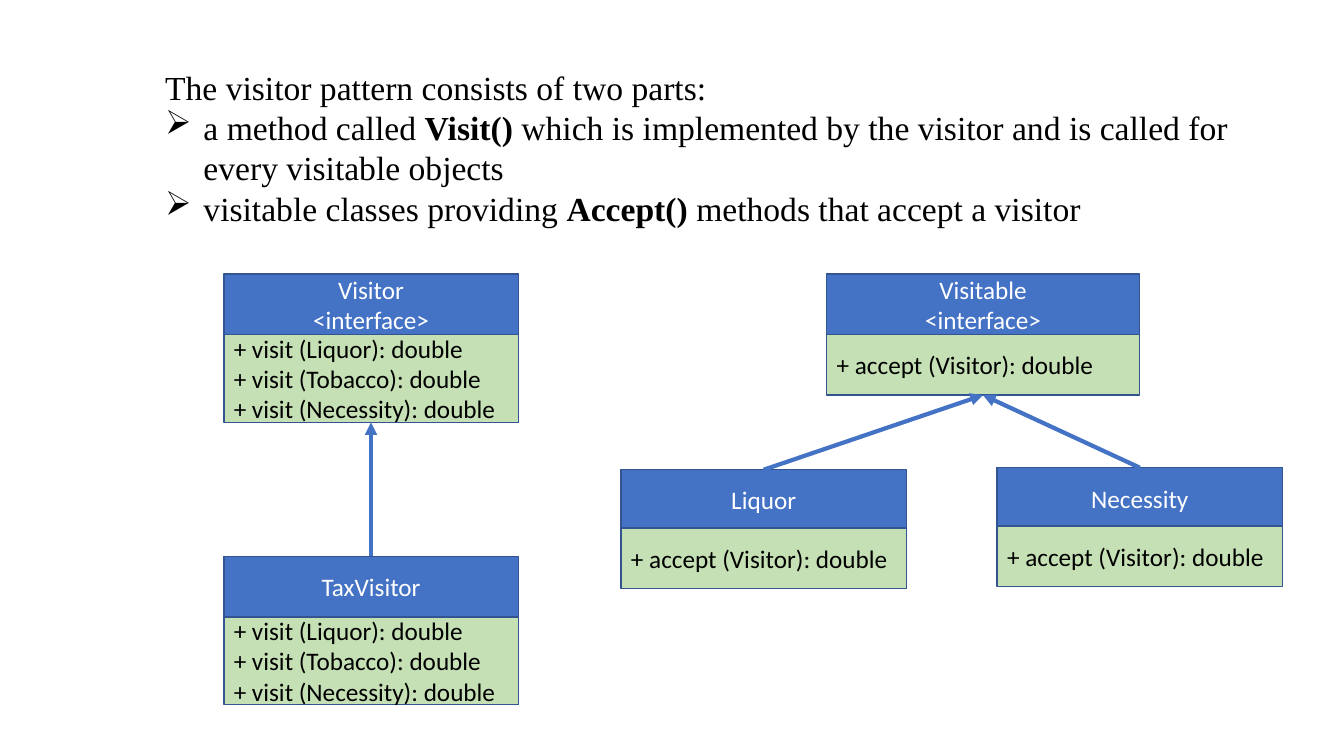
"""Build a slide that explains the visitor pattern with class diagrams."""
import lxml.etree
import pptx
import pptx.dml.color
import pptx.enum.shapes
import pptx.enum.text
import pptx.oxml.ns
import pptx.util

Inches = pptx.util.Inches
Pt = pptx.util.Pt
HEAD_HEIGHT = 0.6
VISIT_METHODS = [f"+ visit ({item}): double" for item in ("Liquor", "Tobacco", "Necessity")]
ACCEPT_METHODS = ["+ accept (Visitor): double"]
INTRODUCTION = [
    [("The visitor pattern consists of two parts:", False)],
    [
        ("a method called ", False),
        ("Visit()", True),
        (" which is implemented by the visitor and is called for every visitable objects", False),
    ],
    [
        ("visitable classes providing ", False),
        ("Accept()", True),
        (" methods that accept a visitor", False),
    ],
]


def color(value):
    """Return the colour for a hex string."""
    return pptx.dml.color.RGBColor.from_string(value)


def add_element(parent, tag, **attributes):
    """Append a drawing element to a parent element."""
    return lxml.etree.SubElement(parent, pptx.oxml.ns.qn(tag), attributes)


def style_font(paragraph, name, size, value):
    """Set the font of a whole paragraph."""
    paragraph.font.name = name
    paragraph.font.size = Pt(size)
    paragraph.font.color.rgb = color(value)


def add_bullet(paragraph):
    """Give a paragraph an arrowhead bullet with a hanging indent."""
    properties = paragraph._p.get_or_add_pPr()
    properties.set("marL", str(Inches(0.38)))
    properties.set("indent", str(Inches(-0.38)))
    bullet = lxml.etree.Element(pptx.oxml.ns.qn("a:buChar"), {"char": "➢"})
    properties.insert(0, bullet)


def add_introduction(slide, left, top, width, height):
    """Write the opening sentence and its bulleted parts."""
    box = slide.shapes.add_textbox(Inches(left), Inches(top), Inches(width), Inches(height))
    frame = box.text_frame
    frame.word_wrap = True
    for index, parts in enumerate(INTRODUCTION):
        paragraph = frame.add_paragraph() if index else frame.paragraphs[0]
        for text, bold in parts:
            run = paragraph.add_run()
            run.text = text
            run.font.bold = bold
            run.font.name = "Times New Roman"
            run.font.size = Pt(24)
            run.font.color.rgb = color("000000")
        if index:
            add_bullet(paragraph)


def add_compartment(slide, left, top, width, height, lines, fill, text_color, alignment):
    """Draw one compartment of a class box."""
    shape = slide.shapes.add_shape(
        pptx.enum.shapes.MSO_SHAPE.RECTANGLE,
        Inches(left), Inches(top), Inches(width), Inches(height),
    )
    shape.shadow.inherit = False
    shape.fill.solid()
    shape.fill.fore_color.rgb = color(fill)
    shape.line.color.rgb = color("325491")
    shape.line.width = Pt(1)
    frame = shape.text_frame
    frame.word_wrap = True
    frame.vertical_anchor = pptx.enum.text.MSO_ANCHOR.MIDDLE
    frame.text = "\n".join(lines)
    for paragraph in frame.paragraphs:
        paragraph.alignment = alignment
        style_font(paragraph, "Calibri", 18, text_color)
    return shape


def add_class_box(slide, left, top, width, title, methods, body_height, overlap=0):
    """Draw a class as a title above its methods and return both compartments."""
    align = pptx.enum.text.PP_ALIGN
    head = add_compartment(
        slide, left, top, width, HEAD_HEIGHT, title, "4472C4", "FFFFFF", align.CENTER
    )
    body = add_compartment(
        slide, left, top + HEAD_HEIGHT - overlap, width, body_height,
        methods, "C5E0B4", "000000", align.LEFT,
    )
    return head, body


def add_inheritance(slide, child_head, parent_body):
    """Draw an arrow from the top of a child to the bottom of its parent."""
    connector = slide.shapes.add_connector(
        pptx.enum.shapes.MSO_CONNECTOR.STRAIGHT, 0, 0, 0, 0
    )
    connector.begin_connect(child_head, 0)
    connector.end_connect(parent_body, 2)
    connector.line.color.rgb = color("4472C4")
    connector.line.width = Pt(3)
    add_element(connector.line._get_or_add_ln(), "a:tailEnd", type="triangle")
    add_element(connector._element.spPr, "a:effectLst")


def add_visitor_diagram(slide, left, top):
    """Draw the visitor interface and the class that implements it."""
    width, body_height = 2.92, 0.87
    _, visitor_body = add_class_box(
        slide, left, top, width, ["Visitor", "<interface>"], VISIT_METHODS, body_height
    )
    tax_head, _ = add_class_box(
        slide, left, top + 2.8, width, ["TaxVisitor"], VISIT_METHODS, body_height
    )
    add_inheritance(slide, tax_head, visitor_body)


def add_visitable_diagram(slide, left, top):
    """Draw the visitable interface and the classes that implement it."""
    _, visitable_body = add_class_box(
        slide, left + 2.04, top, 3.1, ["Visitable", "<interface>"], ACCEPT_METHODS, 0.6
    )
    for title, across, down in (("Liquor", 0, 1.94), ("Necessity", 3.73, 1.92)):
        head, _ = add_class_box(
            slide, left + across, top + down, 2.83, [title], ACCEPT_METHODS, 0.6, overlap=0.02
        )
        add_inheritance(slide, head, visitable_body)


def main():
    """Build and save the presentation."""
    presentation = pptx.Presentation()
    presentation.slide_width = Inches(13.33)
    presentation.slide_height = Inches(7.5)
    slide = presentation.slides.add_slide(presentation.slide_layouts[6])
    add_introduction(slide, 1.54, 0.61, 11.5, 1.72)
    add_visitor_diagram(slide, 2.22, 2.72)
    add_visitable_diagram(slide, 6.16, 2.72)
    presentation.save("out.pptx")


if __name__ == "__main__":
    main()
